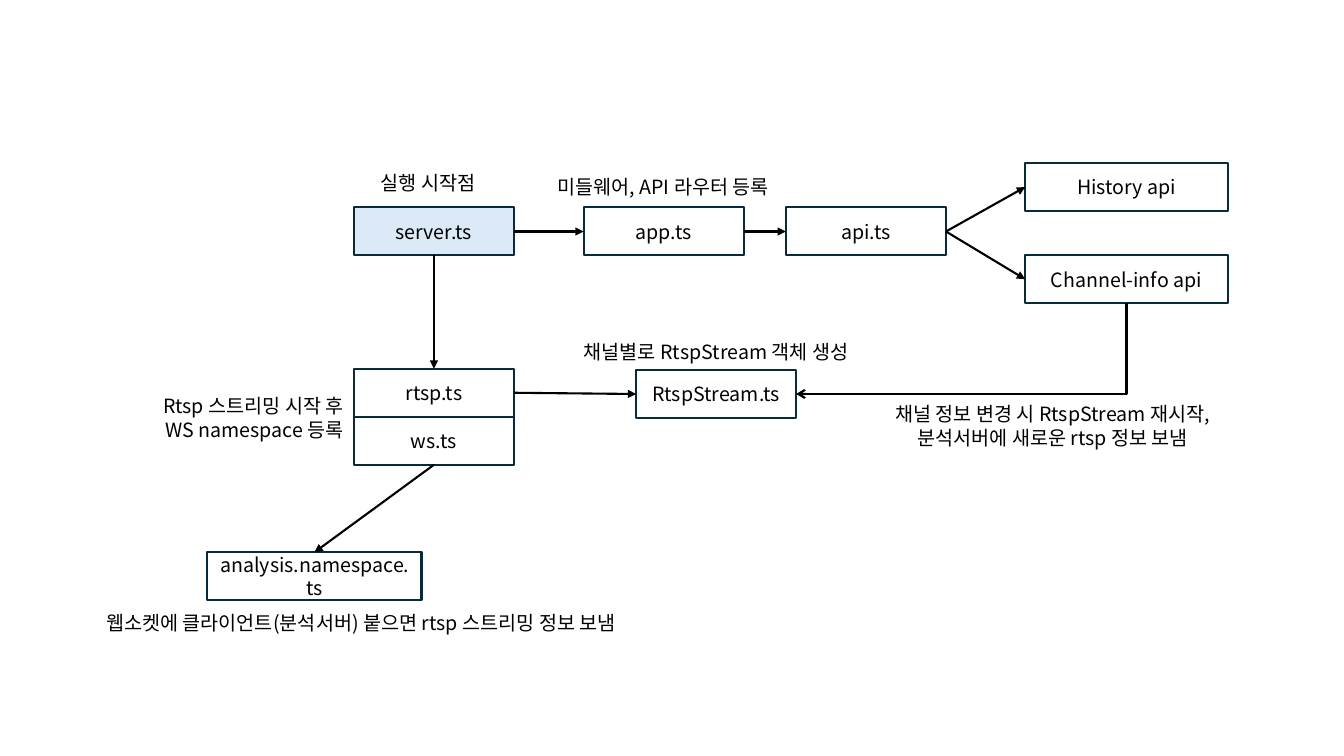
from lxml import etree
from pptx import Presentation
from pptx.enum import shapes, text
from pptx.oxml import ns
from pptx.util import Pt
from pptx.dml.color import RGBColor

COLORS = {"ink": "000000", "edge": "092A39", "start": "DCEAF7"}
TOP, LEFT, BOTTOM, RIGHT = range(4)
ALIGN = {"l": text.PP_ALIGN.LEFT, "c": text.PP_ALIGN.CENTER, "r": text.PP_ALIGN.RIGHT}


def color(name):
    return RGBColor.from_string(COLORS[name])


class Chart:
    """Holds the style and the current slide."""
    font, size, weight = "Noto Sans CJK KR", 14, 1.5
    wide, high = 114.3, 34.3

    def __init__(self, slide):
        self.slide = slide

    def label(self, frame, lines, align, **form):
        for key, value in form.items():
            setattr(frame, key, value)
        for i, line in enumerate(lines):
            para = frame.paragraphs[0] if i == 0 else frame.add_paragraph()
            para.alignment = ALIGN[align]
            run = para.add_run()
            run.text = line
            for key, value in {"name": self.font, "size": Pt(self.size)}.items():
                setattr(run.font, key, value)
            run.font.color.rgb = color("ink")
            east = etree.SubElement(run.font._element, ns.qn("a:ea"))
            east.set("typeface", self.font)

    def box(self, name, x, y, wide=None, fill=None):
        shape = self.slide.shapes.add_shape(
            shapes.MSO_SHAPE.RECTANGLE, Pt(x), Pt(y), Pt(wide or self.wide), Pt(self.high))
        shape.shadow.inherit = False
        if fill:
            shape.fill.solid()
            shape.fill.fore_color.rgb = color(fill)
        else:
            shape.fill.background()
        shape.line.color.rgb = color("edge")
        shape.line.width = Pt(self.weight)
        self.label(shape.text_frame, [name], "c", word_wrap=True,
                   vertical_anchor=text.MSO_ANCHOR.MIDDLE)
        return shape

    def note(self, lines, x, y, wide, align="c", wrap=True):
        high = 7.2 + 17 * len(lines)
        area = self.slide.shapes.add_textbox(Pt(x), Pt(y), Pt(wide), Pt(high))
        self.label(area.text_frame, lines, align, word_wrap=wrap,
                   auto_size=text.MSO_AUTO_SIZE.SHAPE_TO_FIT_TEXT)

    def link(self, start, out, end, into, bent=False):
        kind = shapes.MSO_CONNECTOR.ELBOW if bent else shapes.MSO_CONNECTOR.STRAIGHT
        line = self.slide.shapes.add_connector(kind, 0, 0, 0, 0)
        line.begin_connect(start, out)
        line.end_connect(end, into)
        line.line.color.rgb = color("ink")
        line.line.width = Pt(self.weight)
        # Arrowhead: open at the start of a bent line, solid at the end of a straight one
        tip, style = ("a:headEnd", "arrow") if bent else ("a:tailEnd", "triangle")
        props = line._element.spPr
        etree.SubElement(props.find(ns.qn("a:ln")), ns.qn(tip)).set("type", style)
        etree.SubElement(props, ns.qn("a:effectLst"))
        if bent:
            props.find(ns.qn("a:prstGeom")).set("prst", "bentConnector2")


def main():
    deck = Presentation()
    deck.slide_width, deck.slide_height = Pt(960), Pt(540)
    chart = Chart(deck.slides.add_slide(deck.slide_layouts[6]))

    # Boxes
    col, row, mid, side = 252.8, 148.2, 263.4, 732.3
    server = chart.box("server.ts", col, row, fill="start")
    app = chart.box("app.ts", 416.9, row)
    api = chart.box("api.ts", 561.4, row)
    past = chart.box("History api", side, 116.5, 144.8)
    info = chart.box("Channel-info api", side, 182.3, 144.8)
    rtsp = chart.box("rtsp.ts", col, mid)
    ws = chart.box("ws.ts", col, mid + chart.high)
    stream = chart.box("RtspStream.ts", 454.4, 264.3)
    space = chart.box("analysis.namespace.ts", 148.1, 394.5, 153)

    # Arrows
    for start, out, end, into in (
        (server, RIGHT, app, LEFT),
        (app, RIGHT, api, LEFT),
        (api, RIGHT, past, LEFT),
        (api, RIGHT, info, LEFT),
        (server, BOTTOM, rtsp, TOP),
        (rtsp, RIGHT, stream, LEFT),
        (ws, BOTTOM, space, TOP),
    ):
        chart.link(start, out, end, into)
    chart.link(stream, RIGHT, info, BOTTOM, bent=True)

    # Notes
    chart.note(["실행 시작점"], 265, 118.8, 90, "l", False)
    chart.note(["미들웨어, API 라우터 등록"], 343.4, 121.4, 260.6)
    chart.note(["채널별로 RtspStream 객체 생성"], 363.6, 239.5, 296)
    chart.note(["Rtsp 스트리밍 시작 후", "WS namespace 등록"], 96.5, 278, 156.3, "r", False)
    chart.note(["채널 정보 변경 시 RtspStream 재시작,", "분석서버에 새로운 rtsp 정보 보냄"],
               604, 283.7, 296)
    chart.note(["웹소켓에 클라이언트(분석서버) 붙으면 rtsp 스트리밍 정보 보냄"],
               30.2, 432.8, 416.9, "r", False)

    deck.save("out.pptx")


if __name__ == "__main__":
    main()
